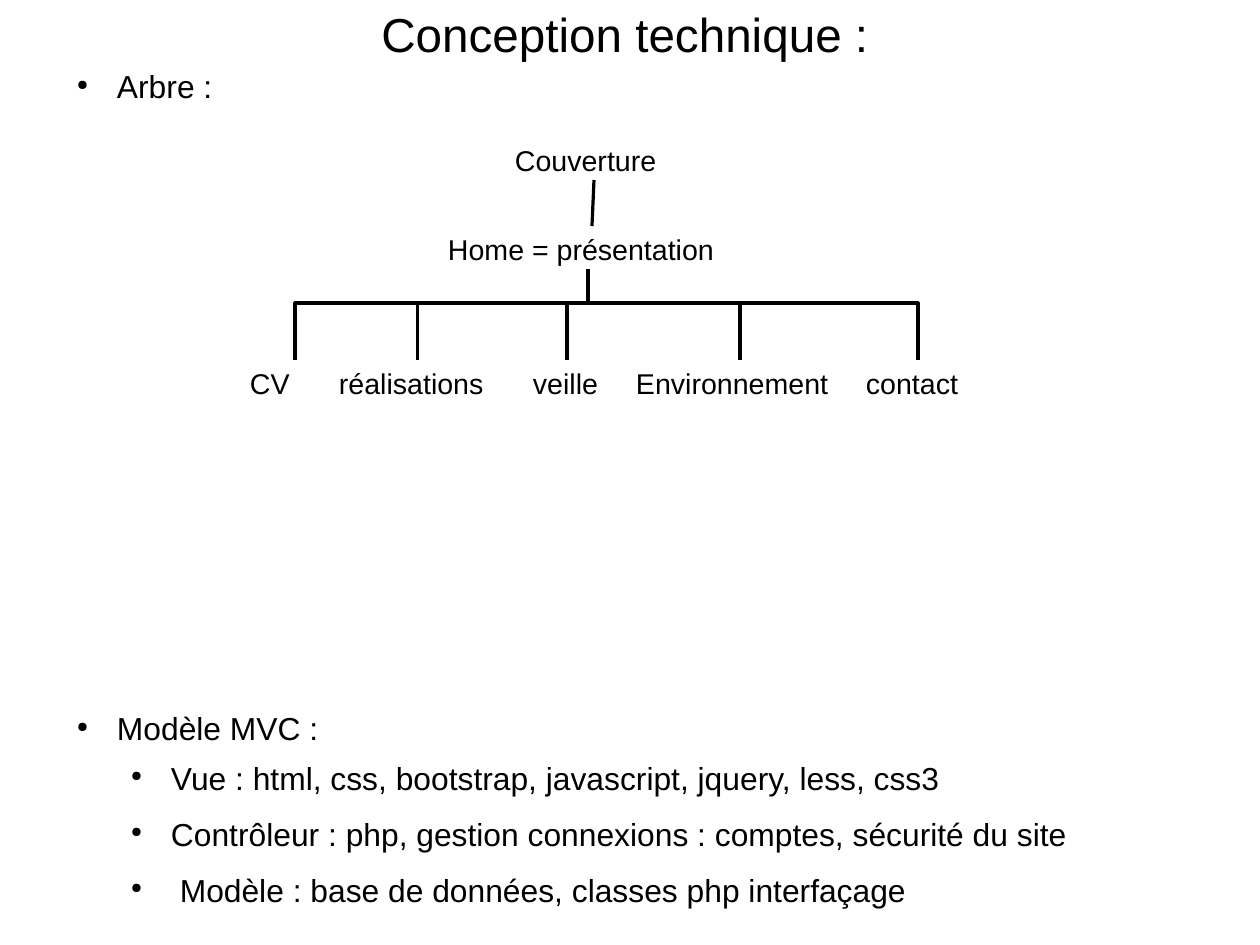
from dataclasses import dataclass
from lxml import etree
from pptx import Presentation, util as u
from pptx.dml.color import RGBColor
from pptx.enum import shapes, text
from pptx.oxml.ns import qn


@dataclass(frozen=True)
class Theme:
    ink: str = "000000"
    paper: str = "FFFFFF"
    font: str = "Arial"
    title: int = 30
    body: int = 20
    label: int = 18


look = Theme()


def px(n):
    return u.Emu(int(n * 8000))


def write(slide, box, rows, size=look.body, pad=(0, 0), align=text.PP_ALIGN.LEFT,
          anchor=text.MSO_ANCHOR.TOP):
    frame = slide.shapes.add_textbox(*map(px, box)).text_frame
    frame.word_wrap = True
    frame.vertical_anchor = anchor
    frame.margin_left = frame.margin_right = px(pad[0])
    frame.margin_top = frame.margin_bottom = px(pad[1])
    for i, row in enumerate(rows):
        para = frame.add_paragraph() if i else frame.paragraphs[0]
        para.alignment = align
        run = para.add_run()
        run.text = row
        run.font.name = look.font
        run.font.size = u.Pt(size)
        run.font.color.rgb = RGBColor.from_string(look.ink)
    return frame.paragraphs


def bullet(para, level):
    para.level = level
    para.space_after = u.Pt((7.1, 11.3)[level])
    props = para._p.get_or_add_pPr()
    props.set("marL", str(px(54 * (level + 1))))
    props.set("indent", str(px(-40)))
    tint = etree.SubElement(props, qn("a:buClr"))
    etree.SubElement(tint, qn("a:srgbClr"), val=look.ink)
    etree.SubElement(props, qn("a:buSzPct"), val="45000")
    etree.SubElement(props, qn("a:buChar"), char="●")


def link(slide, kind, start, end):
    line = slide.shapes.add_connector(kind, *map(px, (*start, *end)))
    line.line.color.rgb = RGBColor.from_string(look.ink)
    line.line.width = u.Pt(0)
    etree.SubElement(line._element.spPr, qn("a:effectLst"))
    return line


def branch(slide, start, end):
    (x, y), (to, low) = start, end
    mid, half = (x + to) / 2, (y + low) / 2
    tall, wide = (low - y) / 2, abs(to - x) / 2
    side = 1 if to > x else -1
    line = link(slide, shapes.MSO_CONNECTOR.ELBOW,
                (mid + side * tall, half - wide), (mid - side * tall, half + wide))
    props = line._element.spPr
    props.find(qn("a:xfrm")).set("rot", "16200000" if side > 0 else "5400000")
    guides = props.find(qn("a:prstGeom")).find(qn("a:avLst"))
    etree.SubElement(guides, qn("a:gd"), name="adj1", fmla="val 37500")


def head(slide, box):
    write(slide, box, ["Conception technique :"], size=look.title,
          align=text.PP_ALIGN.CENTER, anchor=text.MSO_ANCHOR.MIDDLE)


def points(slide, box, name, items=()):
    for i, para in enumerate(write(slide, box, [name, *items])):
        bullet(para, min(i, 1))


def tree(slide, box):
    left, top, wide, tall = box
    high = 43

    def node(name, x, y, span):
        write(slide, (left + x, top + y, span, high), [name],
              size=look.label, pad=(11, 6))

    node("Couverture", 265, 0, 179)
    node("Home = présentation", 198, 89, 311)
    link(slide, shapes.MSO_CONNECTOR.STRAIGHT,
         (left + 355, top + high), (left + 353, top + 89))
    root = (left + 349, top + 89 + high)
    leaf = tall - high
    pages = [("CV", 0, 112), ("réalisations", 89, 179), ("veille", 283, 90),
             ("Environnement", 386, 230), ("contact", 616, 126)]
    for name, x, span in pages:
        node(name, x, leaf, span)
        branch(slide, root, (left + x + span / 2, top + leaf))


def main():
    deck = Presentation()
    deck.slide_width, deck.slide_height = px(1260), px(945)
    slide = deck.slides.add_slide(deck.slide_layouts[6])
    fill = slide.background.fill
    fill.solid()
    fill.fore_color.rgb = RGBColor.from_string(look.paper)
    head(slide, (58, 0, 1134, 67))
    points(slide, (63, 67, 1134, 48), "Arbre :")
    tree(slide, (239, 137, 742, 266))
    points(slide, (63, 709, 1134, 236), "Modèle MVC :", [
        "Vue : html, css, bootstrap, javascript, jquery, less, css3",
        "Contrôleur : php, gestion connexions : comptes, sécurité du site",
        " Modèle : base de données, classes php interfaçage",
    ])
    deck.save("out.pptx")


if __name__ == "__main__":
    main()
